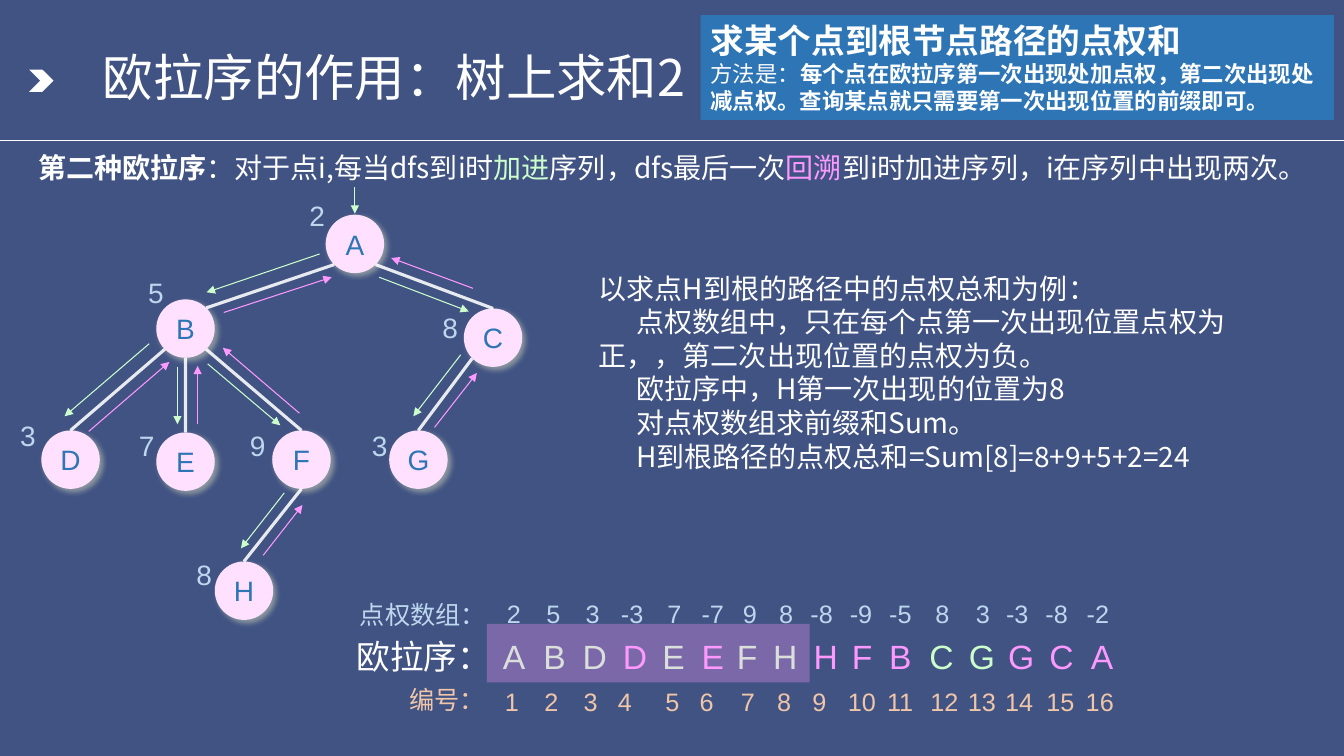
from dataclasses import dataclass

from lxml import etree
from pptx import Presentation
from pptx import util as u
from pptx.dml import color
from pptx.enum import shapes, text
from pptx.oxml import ns

Inches = u.Inches


@dataclass(frozen=True)
class Theme:
    cjk: str = "Noto Sans CJK SC"
    latin: str = "Arial"
    background: str = "415383"
    white: str = "FFFFFF"
    node: str = "FFE1FF"
    glow: str = "FFFFCC"
    blue: str = "2E75B6"
    enter: str = "CCFFCC"
    leave: str = "FF99FF"
    weight: str = "BDD7EE"
    index: str = "EFC6AA"
    title: int = 36
    large: int = 24
    body: int = 20
    small: int = 18
    note: int = 16


T = Theme()
NODE = 0.58
NODES = {
    "A": (3.23, 2.13), "B": (1.55, 2.97), "C": (4.6, 3.06), "D": (0.41, 4.27),
    "E": (1.55, 4.29), "F": (2.7, 4.27), "G": (3.86, 4.27), "H": (2.13, 5.57),
}
WEIGHTS = {
    "A": (2, 2.97, 1.92), "B": (5, 1.37, 2.68), "C": (8, 4.29, 3.03), "D": (3, 0.1, 4.1),
    "E": (7, 1.28, 4.2), "F": (9, 2.38, 4.2), "G": (3, 3.59, 4.2), "H": (8, 1.85, 5.48),
}
EDGES = [
    ("A", (-1, 1), "B", (1, -1)), ("A", (1, 1), "C", (0, -1)), ("B", (-1, 1), "D", (0, -1)),
    ("B", (0, 1), "E", (0, -1)), ("B", (1, 1), "F", (0, -1)), ("C", (-1, 1), "G", (0, -1)),
    ("F", (0, 1), "H", (0, -1)),
]
ENTER_ARROWS = [
    (3.52, 1.86, 3.52, 2.12), (3.17, 2.52, 2.05, 2.9), (1.48, 3.41, 0.64, 4.13),
    (1.76, 3.64, 1.76, 4.21), (2.06, 3.61, 2.78, 4.22), (2.82, 4.89, 2.39, 5.44),
    (3.76, 2.75, 4.65, 3.09), (4.57, 3.52, 4.1, 4.13),
]
LEAVE_ARROWS = [
    (0.88, 4.28, 1.68, 3.59), (1.96, 4.21, 1.96, 3.63), (2.61, 5.51, 3, 5.01),
    (2.97, 4.1, 2.21, 3.45), (2.22, 3.1, 3.29, 2.75), (4.31, 4.24, 4.73, 3.7),
    (4.69, 2.86, 3.88, 2.56),
]
TOUR = "ABDDEEFHHFBCGGCA"
LETTER_LEFTS = [4.89, 5.29, 5.68, 6.08, 6.47, 6.86, 7.21, 7.57,
                7.97, 8.35, 8.72, 9.12, 9.51, 9.9, 10.31, 10.72]
WEIGHT_LEFTS = [4.93, 5.32, 5.71, 6.06, 6.52, 6.86, 7.27, 7.63,
                7.94, 8.33, 8.72, 9.18, 9.58, 9.88, 10.27, 10.68]
INDEX_LEFTS = [4.91, 5.3, 5.69, 6.03, 6.5, 6.84, 7.25, 7.61,
               7.96, 8.31, 8.7, 9.13, 9.5, 9.87, 10.28, 10.67]


def rgb(value):
    return color.RGBColor.from_string(value)


def assign(target, values):
    for name, value in values.items():
        setattr(target, name, value)


def add_child(parent, tag, **attributes):
    return etree.SubElement(parent, ns.qn(tag), attributes)


def set_alpha(fill_parent, percent):
    srgb = fill_parent.find(".//" + ns.qn("a:srgbClr"))
    add_child(srgb, "a:alpha", val=str(percent * 1000))


def write_run(p, content, size, font=T.cjk, ink=T.white, bold=False):
    r = p.add_run()
    r.text = content
    assign(r.font, {"size": u.Pt(size), "name": font, "bold": bold})
    r.font.color.rgb = rgb(ink)
    add_child(r.font._element, "a:ea", typeface=T.cjk)


def write_paragraphs(tf, paragraphs, align=text.PP_ALIGN.LEFT):
    for i, runs in enumerate(paragraphs):
        p = tf.add_paragraph() if i else tf.paragraphs[0]
        p.alignment = align
        for content, values in runs:
            write_run(p, content, **values)


def add_text(s, box, paragraphs):
    sp = s.shapes.add_textbox(*map(Inches, box))
    tf = sp.text_frame
    assign(tf, {"word_wrap": True, "auto_size": text.MSO_AUTO_SIZE.SHAPE_TO_FIT_TEXT})
    write_paragraphs(tf, paragraphs)
    return tf


def add_label(s, box, content, size, ink):
    add_text(s, box, [[(content, {"size": size, "font": T.latin, "ink": ink})]])


def add_shape(s, kind, box, fill):
    sp = s.shapes.add_shape(kind, *map(Inches, box))
    sp.shadow.inherit = False
    sp.fill.solid()
    sp.fill.fore_color.rgb = rgb(fill)
    sp.line.fill.background()
    return sp


def add_line(s, ends, ink, width=0.75, arrow=False, alpha=None):
    line = s.shapes.add_connector(shapes.MSO_CONNECTOR.STRAIGHT, *map(Inches, ends))
    line.line.width = u.Pt(width)
    line.line.color.rgb = rgb(ink)
    ln = line.line._get_or_add_ln()
    if alpha:
        set_alpha(ln, alpha)
    if arrow:
        add_child(ln, "a:tailEnd", type="triangle")
    add_child(line._element.spPr, "a:effectLst")


def add_node(s, name):
    sp = add_shape(s, shapes.MSO_SHAPE.OVAL, (*NODES[name], NODE, NODE), T.node)
    effects = sp._element.spPr.find(ns.qn("a:effectLst"))
    shadow = add_child(effects, "a:outerShdw", blurRad=str(u.Pt(4)), dist=str(u.Pt(3)),
                       dir="2700000", algn="tl", rotWithShape="0")
    glow = add_child(shadow, "a:srgbClr", val=T.glow)
    add_child(glow, "a:alpha", val="40000")
    sp.text_frame.vertical_anchor = text.MSO_ANCHOR.MIDDLE
    write_paragraphs(sp.text_frame, [[(name, {"size": T.body, "font": T.latin, "ink": T.blue})]],
                     text.PP_ALIGN.CENTER)


def rim_point(name, direction):
    reach = NODE / 2 / sum(d * d for d in direction) ** 0.5
    return [start + NODE / 2 + d * reach for start, d in zip(NODES[name], direction)]


def add_title(s):
    sp = s.shapes.title
    assign(sp, dict(zip(("left", "top", "width", "height"), map(Inches, (0.92, 0.4, 11.5, 0.79)))))
    tf = sp.text_frame
    assign(tf, {"word_wrap": True, "auto_size": text.MSO_AUTO_SIZE.NONE,
                "vertical_anchor": text.MSO_ANCHOR.MIDDLE})
    write_paragraphs(tf, [[("欧拉序的作用：树上求和2", {"size": T.title})]])
    tf.paragraphs[0].line_spacing = 0.9


def add_method(s):
    sp = add_shape(s, shapes.MSO_SHAPE.RECTANGLE, (6.95, 0.15, 6.28, 1.04), T.blue)
    assign(sp.text_frame, {"word_wrap": True, "vertical_anchor": text.MSO_ANCHOR.TOP})
    write_paragraphs(sp.text_frame, [
        [("求某个点到根节点路径的点权和", {"size": T.large, "bold": True})],
        [("方法是：", {"size": T.note}),
         ("每个点在欧拉序第一次出现处加点权，第二次出现处减点权。查询某点就只需要第一次出现位置的前缀即可。",
          {"size": T.note, "bold": True})],
    ])


def add_definition(s):
    plain = {"size": T.body}
    add_text(s, (0.28, 1.44, 12.75, 0.44), [[
        ("第二种欧拉序", {**plain, "bold": True}), ("：对于点i,每当dfs到i时", plain),
        ("加进", {**plain, "ink": T.enter}), ("序列，dfs最后一次", plain),
        ("回溯", {**plain, "ink": T.leave}), ("到i时加进序列，i在序列中出现两次。", plain),
    ]])


def add_example(s):
    lines = ["以求点H到根的路径中的点权总和为例：",
             "点权数组中，只在每个点第一次出现位置点权为正，，第二次出现位置的点权为负。",
             "欧拉序中，H第一次出现的位置为8", "对点权数组求前缀和Sum。",
             "H到根路径的点权总和=Sum[8]=8+9+5+2=24"]
    tf = add_text(s, (5.84, 2.64, 6.46, 2.12), [[(line, {"size": T.body})] for line in lines])
    for p in tf.paragraphs[1:]:
        p._p.get_or_add_pPr().set("indent", str(Inches(0.37)))


def add_tree(s):
    for name in NODES:
        add_node(s, name)
    for parent, start, child, end in EDGES:
        add_line(s, (*rim_point(parent, start), *rim_point(child, end)), T.white, 2.25, alpha=88)
    for arrows, ink in ((ENTER_ARROWS, T.enter), (LEAVE_ARROWS, T.leave)):
        for ends in arrows:
            add_line(s, ends, ink, arrow=True)
    for weight, left, top in WEIGHTS.values():
        add_label(s, (left, top, 0.48, 0.44), str(weight), T.body, T.weight)


def add_tour(s):
    add_label(s, (3.47, 5.9, 1.39, 0.4), "点权数组：", T.small, T.weight)
    add_label(s, (3.44, 6.26, 1.39, 0.5), "欧拉序：", T.large, T.white)
    add_label(s, (3.96, 6.74, 0.86, 0.4), "编号：", T.small, T.index)
    columns = zip(TOUR, LETTER_LEFTS, WEIGHT_LEFTS, INDEX_LEFTS)
    for i, (name, letter_left, weight_left, index_left) in enumerate(columns):
        first = name not in TOUR[:i]
        weight = WEIGHTS[name][0] if first else -WEIGHTS[name][0]
        add_label(s, (weight_left, 5.89, 0.48, 0.4), str(weight), T.small, T.weight)
        add_label(s, (letter_left, 6.26, 0.48, 0.5), name, T.large, T.enter if first else T.leave)
        add_label(s, (index_left, 6.76, 0.51, 0.4), str(i + 1), T.small, T.index)
    prefix = add_shape(s, shapes.MSO_SHAPE.RECTANGLE, (4.83, 6.19, 3.2, 0.58), T.leave)
    set_alpha(prefix._element.spPr, 31)


def main():
    prs = Presentation()
    assign(prs, {"slide_width": Inches(13.33), "slide_height": Inches(7.5)})
    s = prs.slides.add_slide(prs.slide_layouts[5])
    s.background.fill.solid()
    s.background.fill.fore_color.rgb = rgb(T.background)
    add_line(s, (0, 1.39, 13.33, 1.39), T.white)
    add_shape(s, shapes.MSO_SHAPE.CHEVRON, (0.29, 0.69, 0.24, 0.22), T.white)
    add_title(s)
    add_definition(s)
    add_tree(s)
    add_method(s)
    add_example(s)
    add_tour(s)
    prs.save("out.pptx")


if __name__ == "__main__":
    main()
